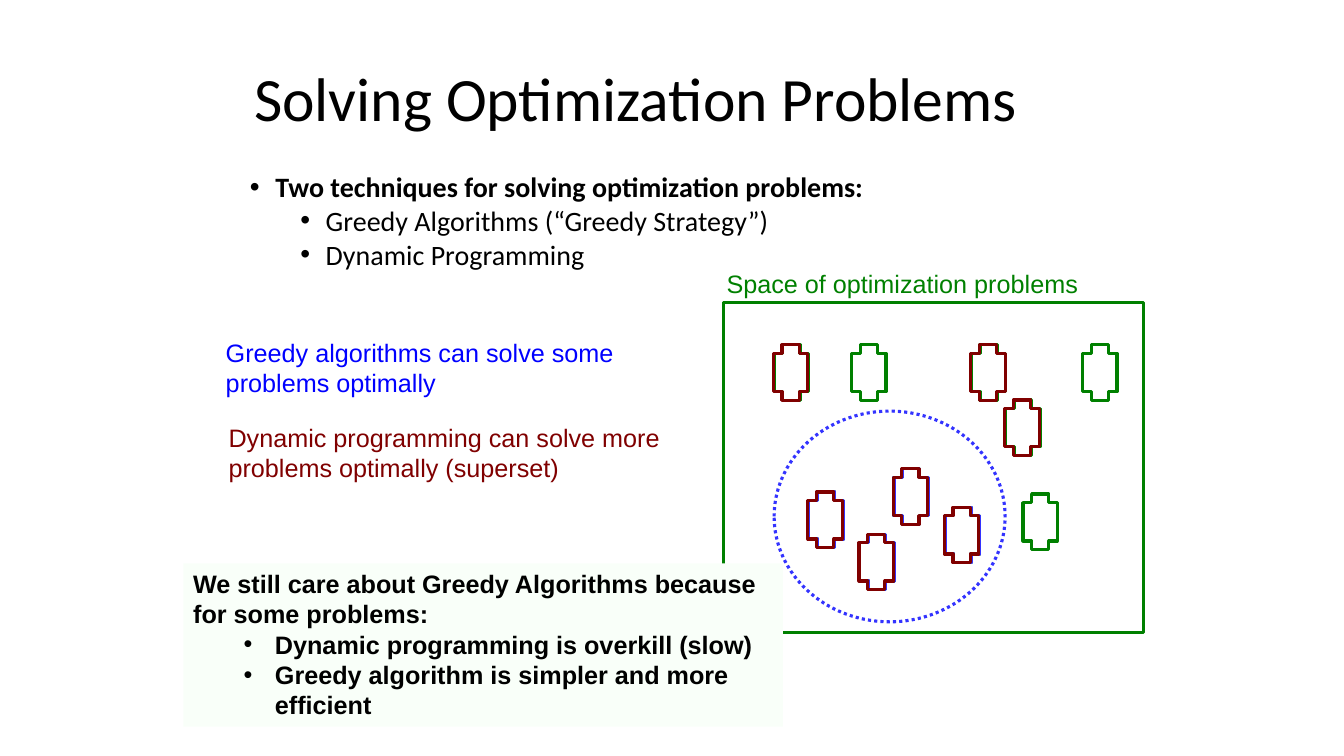
import pptx
import pptx.util
import pptx.dml.color
import pptx.enum.dml
import pptx.enum.shapes
import pptx.enum.text
import pptx.oxml
import pptx.oxml.ns

Cm, Pt = pptx.util.Cm, pptx.util.Pt
RGBColor = pptx.dml.color.RGBColor
SHAPE = pptx.enum.shapes.MSO_SHAPE
ANCHOR = pptx.enum.text.MSO_ANCHOR
ALIGN = pptx.enum.text.PP_ALIGN

BLACK = RGBColor(0x00, 0x00, 0x00)
GREEN = RGBColor(0x00, 0x80, 0x00)
BLUE = RGBColor(0x00, 0x00, 0xFF)
OUTLINE_BLUE = RGBColor(0x33, 0x33, 0xFF)
MAROON = RGBColor(0x80, 0x00, 0x00)
MINT = RGBColor(0xF9, 0xFF, 0xF9)

GREEDY = [(21.67, 13.46), (23.82, 12.78), (20.38, 12.4), (22.53, 11.81)]
DYNAMIC = GREEDY + [(19.51, 8.69), (25.34, 10.08), (24.48, 8.69)]
PROBLEMS = DYNAMIC + [(25.78, 12.45), (27.28, 8.69), (21.46, 8.69)]


def write(p, text, font="Arial", size=18, color=BLACK, bold=False,
          spacing=None, before=0, left=0, bullet=False, hang=0.64, level=0):
    """Write formatted text into a paragraph."""
    p.level = level
    p.alignment = ALIGN.LEFT
    p.line_spacing = spacing
    p.space_before = Pt(before)
    pPr = p._p.get_or_add_pPr()
    if bullet:
        pPr.set("marL", str(Cm(left)))
        pPr.set("indent", str(-Cm(hang)))
        ns = pptx.oxml.ns.nsdecls("a")
        pPr.append(pptx.oxml.parse_xml(f'<a:buFont {ns} typeface="Arial"/>'))
        pPr.append(pptx.oxml.parse_xml(f'<a:buChar {ns} char="•"/>'))
    r = p.add_run()
    r.text = text
    r.font.name, r.font.size, r.font.bold = font, Pt(size), bold
    r.font.color.rgb = color


class Deck:
    """Hold the style, the current slide and the group being filled."""

    line_width = Pt(2.25)

    def __init__(self):
        """Start a wide presentation with one title-only slide."""
        self.prs = pptx.Presentation()
        self.prs.slide_width, self.prs.slide_height = Cm(33.87), Cm(19.05)
        self.s = self.prs.slides.add_slide(self.prs.slide_layouts[5])
        self.shapes = self.s.shapes

    def group(self):
        """Direct the following elements into a new group."""
        self.shapes = self.s.shapes.add_group_shape().shapes

    def ungroup(self):
        """Direct the following elements onto the slide."""
        self.shapes = self.s.shapes

    def title(self, text, x, y, w, h):
        """Place and format the title."""
        sp = self.s.shapes.title
        sp.left, sp.top, sp.width, sp.height = Cm(x), Cm(y), Cm(w), Cm(h)
        tf = sp.text_frame
        tf.word_wrap, tf.vertical_anchor = True, ANCHOR.MIDDLE
        write(tf.paragraphs[0], text, font="Calibri", size=44, spacing=0.9)

    def fill_text(self, sp, paragraphs):
        """Fill a shape with (text, format) paragraphs."""
        tf = sp.text_frame
        tf.word_wrap, tf.vertical_anchor = True, ANCHOR.TOP
        for i, (text, style) in enumerate(paragraphs):
            p = tf.add_paragraph() if i else tf.paragraphs[0]
            write(p, text, **style)

    def text(self, x, y, w, h, *paragraphs):
        """Add a text box."""
        sp = self.shapes.add_textbox(Cm(x), Cm(y), Cm(w), Cm(h))
        self.fill_text(sp, paragraphs)

    def shape(self, kind, x, y, w, h, line=None, fill=None, dash=None):
        """Add a preset shape with an optional outline and fill."""
        sp = self.shapes.add_shape(kind, Cm(x), Cm(y), Cm(w), Cm(h))
        sp.shadow.inherit = False
        if fill is None:
            sp.fill.background()
        else:
            sp.fill.solid()
            sp.fill.fore_color.rgb = fill
        if line is None:
            sp.line.fill.background()
        else:
            sp.line.color.rgb = line
            sp.line.width = self.line_width
            if dash is not None:
                sp.line.dash_style = dash
        return sp

    def crosses(self, places, color, shift=0):
        """Mark each problem with a cross outline."""
        for x, y in places:
            sp = self.shape(SHAPE.CROSS, x + shift, y, 0.87, 1.4, line=color)
            sp.adjustments[0] = 0.25


def main():
    """Build and save the slide."""
    deck = Deck()
    deck.title("Solving Optimization Problems", 6.15, 0.97, 21.59, 3.17)
    body = dict(font="Calibri", size=20, spacing=0.8, bullet=True)
    technique = dict(body, left=1.91, before=5, level=1)
    deck.text(6.05, 4.32, 21.59, 2.82,
              ("Two techniques for solving optimization problems:",
               dict(body, left=0.64, bold=True)),
              ("Greedy Algorithms (“Greedy Strategy”)", technique),
              ("Dynamic Programming", technique))

    deck.group()
    deck.shape(SHAPE.RECTANGLE, 18.24, 7.62, 10.57, 8.31, line=GREEN)
    deck.crosses(PROBLEMS, GREEN)
    deck.text(18.06, 6.63, 10.49, 1.02,
              ("Space of optimization problems", dict(color=GREEN)))

    deck.group()
    deck.text(5.44, 8.38, 10.67, 1.8,
              ("Greedy algorithms can solve some problems optimally",
               dict(color=BLUE)))
    deck.shape(SHAPE.OVAL, 19.51, 10.36, 5.82, 5.31, line=OUTLINE_BLUE,
               dash=pptx.enum.dml.MSO_LINE.ROUND_DOT)
    deck.crosses(GREEDY, OUTLINE_BLUE)

    deck.group()
    deck.text(5.51, 10.52, 11.4, 1.8,
              ("Dynamic programming can solve more problems optimally (superset)",
               dict(color=MAROON)))
    deck.crosses(DYNAMIC, MAROON, shift=-0.02)

    deck.ungroup()
    reason = dict(bold=True, bullet=True, left=2.06, hang=0.79, level=1)
    sp = deck.shape(SHAPE.RECTANGLE, 4.62, 14.2, 15.11, 4.11, fill=MINT)
    deck.fill_text(sp, [
        ("We still care about Greedy Algorithms because for some problems:",
         dict(bold=True)),
        ("Dynamic programming is overkill (slow)", reason),
        ("Greedy algorithm is simpler and more efficient", reason)])
    deck.prs.save("out.pptx")


if __name__ == "__main__":
    main()
